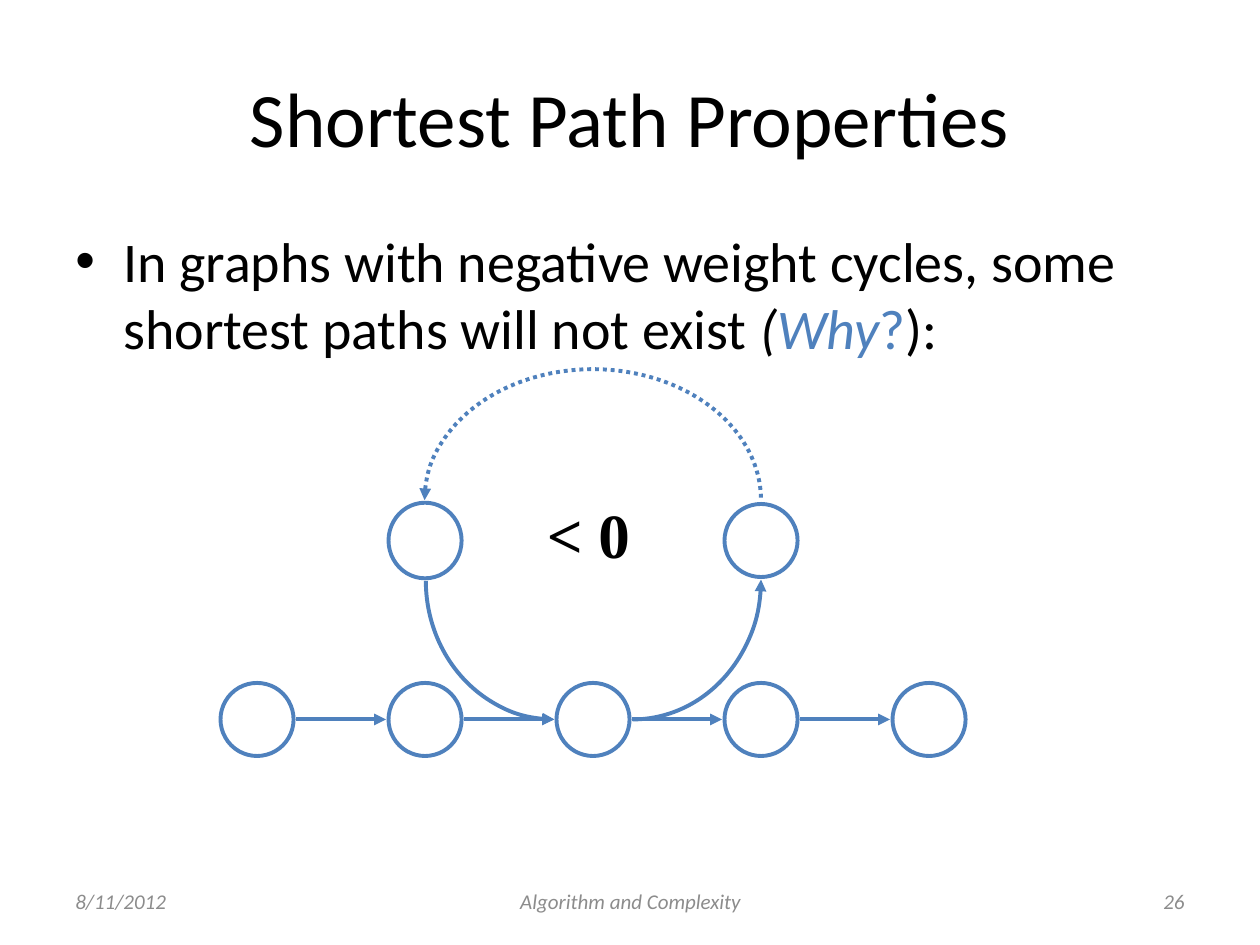
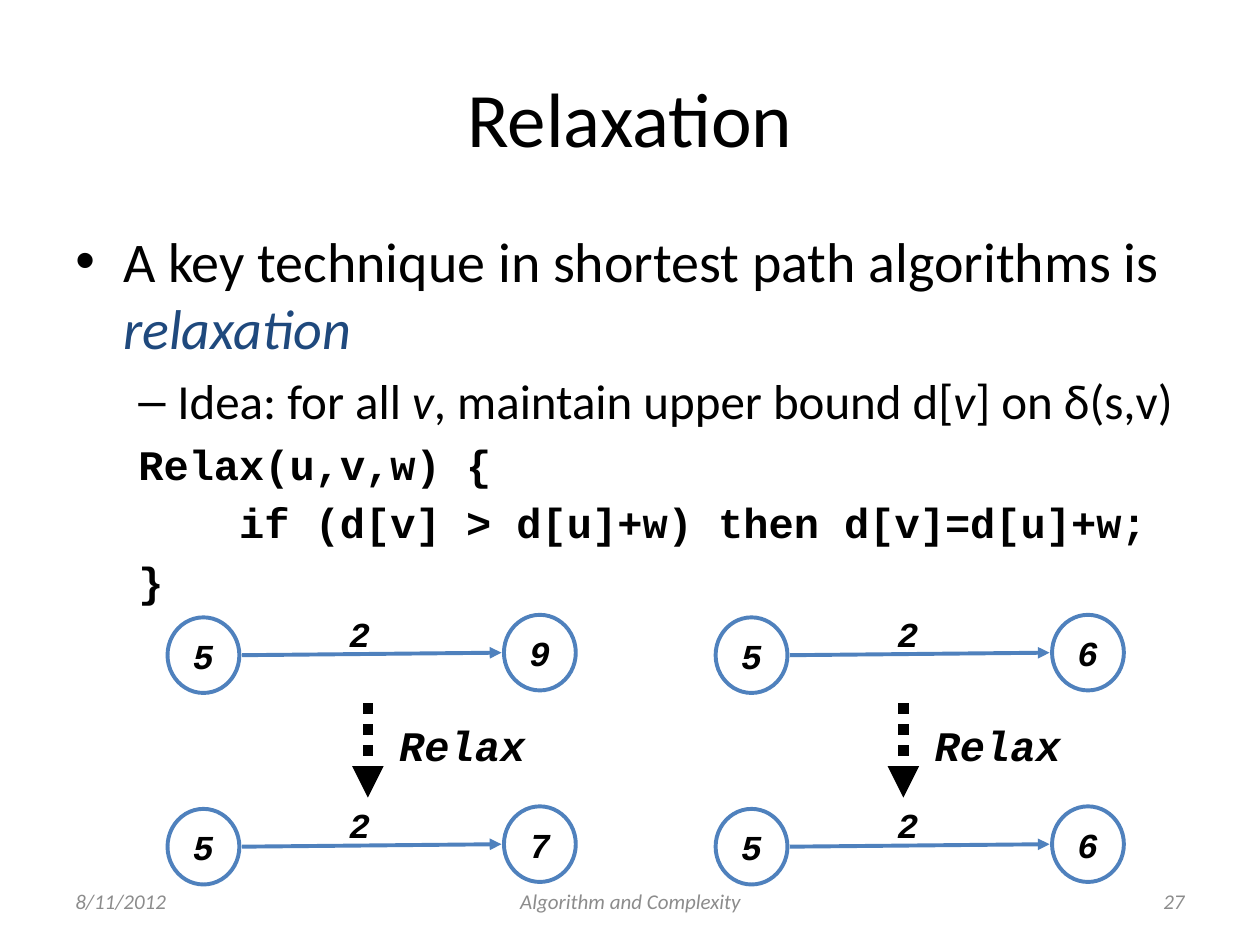
from dataclasses import dataclass
from typing import Any, Optional

from lxml import etree
from pptx import Presentation
from pptx.dml.color import RGBColor
from pptx.enum import dml, shapes, text
from pptx.oxml import ns
from pptx.util import Inches, Pt

BLACK = RGBColor(0x00, 0x00, 0x00)
WHITE = RGBColor(0xFF, 0xFF, 0xFF)
BLUE = RGBColor(0x4F, 0x81, 0xBD)
NAVY = RGBColor(0x1F, 0x49, 0x7D)
GRAY = RGBColor(0x8C, 0x8C, 0x8C)

BODY_FONT = "Calibri"
CODE_FONT = "Courier New"
MATH_FONT = "Times New Roman"
LEFT, CENTER, RIGHT = text.PP_ALIGN.LEFT, text.PP_ALIGN.CENTER, text.PP_ALIGN.RIGHT
LINE_WIDTH = 2.25


@dataclass
class Style:
    size: float
    name: str = BODY_FONT
    color: RGBColor = BLACK
    bold: bool = False
    italic: bool = False


@dataclass
class Piece:
    """A stretch of body text with its own emphasis."""
    words: str
    italic: bool = False
    color: RGBColor = BLACK


@dataclass
class BodyLine:
    pieces: list[Piece]
    size: float
    margin: float
    hanging: float = 0
    bullet: str = ""
    name: str = BODY_FONT
    bold: bool = False


@dataclass
class Box:
    left: float
    top: float
    width: float
    height: float

    def lengths(self) -> list[int]:
        return [Inches(n) for n in (self.left, self.top, self.width, self.height)]


@dataclass
class Arc:
    """A clockwise arc with its arrowhead at the start; angles in degrees."""
    box: Box
    start: int
    end: int
    dotted: bool = False


@dataclass
class RelaxExample:
    left: float
    arrow_x: float
    before: str
    after: str


WEIGHT_STYLE = Style(20, CODE_FONT, bold=True, italic=True)
RELAX_STYLE = Style(24, CODE_FONT, bold=True, italic=True)


# Text
def format_run(run: Any, style: Style) -> None:
    run.font.size = Pt(style.size)
    run.font.name = style.name
    run.font.color.rgb = style.color
    run.font.bold = style.bold
    run.font.italic = style.italic


def write(shape: Any, words: str, style: Style, align: Any = LEFT) -> None:
    shape.text_frame.text = words
    paragraph = shape.text_frame.paragraphs[0]
    paragraph.alignment = align
    format_run(paragraph.runs[0], style)


def add_label(parent: Any, box: Box, words: str, style: Style,
              align: Any = LEFT, anchor: Any = text.MSO_ANCHOR.TOP) -> None:
    label = parent.add_textbox(*box.lengths())
    label.text_frame.word_wrap = False
    label.text_frame.vertical_anchor = anchor
    write(label, words, style, align)


def add_body(slide: Any, lines: list[BodyLine]) -> None:
    frame = slide.shapes.add_textbox(*Box(0.5, 1.75, 9, 4.95).lengths()).text_frame
    frame.word_wrap = True
    for index, line in enumerate(lines):
        paragraph = frame.add_paragraph() if index else frame.paragraphs[0]
        paragraph.space_before = Pt(line.size * 0.2)
        properties = paragraph._p.get_or_add_pPr()
        properties.set("marL", str(Inches(line.margin)))
        properties.set("indent", str(-Inches(line.hanging)))
        if line.bullet:
            font = etree.SubElement(properties, ns.qn("a:buFont"))
            font.set("typeface", "Arial")
            bullet = etree.SubElement(properties, ns.qn("a:buChar"))
            bullet.set("char", line.bullet)
        for piece in line.pieces:
            run = paragraph.add_run()
            run.text = piece.words
            format_run(run, Style(line.size, line.name, piece.color,
                                  line.bold, piece.italic))


# Slide frame
def add_slide(presentation: Any, title: str, number: int) -> Any:
    slide = presentation.slides.add_slide(presentation.slide_layouts[5])
    heading = slide.shapes.title
    heading.left, heading.top, heading.width, heading.height = Box(
        0.5, 0.3, 9, 1.25).lengths()
    heading.text_frame.vertical_anchor = text.MSO_ANCHOR.MIDDLE
    write(heading, title, Style(44), CENTER)
    footers = [(0.5, 2.33, "8/11/2012", LEFT),
               (3.42, 3.17, "Algorithm and Complexity", CENTER),
               (7.17, 2.33, str(number), RIGHT)]
    for left, width, words, align in footers:
        add_label(slide.shapes, Box(left, 6.95, width, 0.4), words,
                  Style(12, color=GRAY, italic=True), align, text.MSO_ANCHOR.MIDDLE)
    return slide


# Graph parts
def add_node(parent: Any, box: Box, value: Optional[str] = None) -> None:
    node = parent.add_shape(shapes.MSO_SHAPE.OVAL, *box.lengths())
    node.shadow.inherit = False
    node.fill.solid()
    node.fill.fore_color.rgb = WHITE
    node.line.color.rgb = BLUE
    node.line.width = Pt(LINE_WIDTH)
    if value:
        node.text_frame.word_wrap = False
        node.text_frame.vertical_anchor = text.MSO_ANCHOR.MIDDLE
        write(node, value, WEIGHT_STYLE, CENTER)


def format_arrow(shape: Any, end: str, color: RGBColor = BLUE,
                 width: float = LINE_WIDTH, dotted: bool = False) -> None:
    shape.line.color.rgb = color
    shape.line.width = Pt(width)
    if dotted:
        shape.line.dash_style = dml.MSO_LINE.ROUND_DOT
    properties = shape._element.spPr
    arrowhead = etree.SubElement(properties.find(ns.qn("a:ln")), ns.qn(f"a:{end}"))
    arrowhead.set("type", "triangle")
    if properties.find(ns.qn("a:effectLst")) is None:
        etree.SubElement(properties, ns.qn("a:effectLst"))


def add_arrow(parent: Any, start: tuple[float, float], end: tuple[float, float],
              color: RGBColor = BLUE, width: float = LINE_WIDTH,
              dotted: bool = False) -> None:
    points = [Inches(n) for n in (*start, *end)]
    arrow = parent.add_connector(shapes.MSO_CONNECTOR.STRAIGHT, *points)
    format_arrow(arrow, "tailEnd", color, width, dotted)


def add_arc(parent: Any, arc: Arc) -> None:
    shape = parent.add_shape(shapes.MSO_SHAPE.ARC, *arc.box.lengths())
    # Angles are stored as 60000ths of a degree, adjustments as 100000ths
    shape.adjustments[0] = arc.start * 0.6
    shape.adjustments[1] = arc.end * 0.6
    shape.fill.background()
    format_arrow(shape, "headEnd", dotted=arc.dotted)


# Slide 1: a negative weight cycle
def build_properties(presentation: Any) -> None:
    slide = add_slide(presentation, "Shortest Path Properties", 26)
    add_body(slide, [BodyLine([
        Piece("In graphs with negative weight cycles, some shortest paths will not exist "),
        Piece("(", True), Piece("Why", True, BLUE), Piece("?", False, BLUE),
        Piece("):")], 32, 0.38, 0.38, "•")])

    first_left, step, size, middle = 1.75, 4 / 3, 0.58, 5.71
    lefts = [first_left + step * index for index in range(5)]
    for left in lefts:
        add_node(slide.shapes, Box(left, 5.42, size, size))
    for left in lefts[:-1]:
        add_arrow(slide.shapes, (left + 0.6, middle), (left + step - 0.02, middle))
    add_node(slide.shapes, Box(lefts[1], 3.99, size, 0.6))
    add_node(slide.shapes, Box(lefts[3], 4, size, size))

    for arc in (Arc(Box(4, 3.49, 2.04, 2.22), 0, 90),
                Arc(Box(3.38, 3.51, 2.04, 2.2), 90, 180),
                Arc(Box(3.37, 2.93, 2.67, 2.08), 180, 0, dotted=True)):
        add_arc(slide.shapes, arc)
    add_label(slide.shapes, Box(4.24, 3.88, 0.86, 0.7), "< 0",
              Style(36, MATH_FONT, bold=True), CENTER)


# Slide 2: relaxing an edge
def add_edge(parent: Any, left: float, top: float, target: str) -> None:
    add_node(parent, Box(left + 2.67, top, 0.57, 0.6), target)
    add_node(parent, Box(left, top + 0.02, 0.57, 0.6), "5")
    add_arrow(parent, (left + 0.59, top + 0.32), (left + 2.65, top + 0.3))
    add_label(parent, Box(left + 1.34, top - 0.07, 0.37, 0.43), "2",
              WEIGHT_STYLE, CENTER)


def build_relaxation(presentation: Any) -> None:
    slide = add_slide(presentation, "Relaxation", 27)
    lines = [
        BodyLine([Piece("A key technique in shortest path algorithms is "),
                  Piece("relaxation", True, NAVY)], 32, 0.38, 0.38, "•"),
        BodyLine([Piece("Idea: for all "), Piece("v", True),
                  Piece(", maintain upper bound d["), Piece("v", True),
                  Piece("] on δ(s,v)")], 28, 0.81, 0.31, "–"),
    ]
    for code, margin in (("Relax(u,v,w) {", 0.5),
                         ("if (d[v] > d[u]+w) then d[v]=d[u]+w;", 1.3),
                         ("}", 0.5)):
        lines.append(BodyLine([Piece(code)], 24, margin, name=CODE_FONT, bold=True))
    add_body(slide, lines)

    for example in (RelaxExample(1.33, 2.92, "9", "7"),
                    RelaxExample(5.68, 7.17, "6", "6")):
        group = slide.shapes.add_group_shape().shapes
        add_edge(group, example.left, 4.88, example.before)
        add_edge(group, example.left, 6.4, example.after)
        add_arrow(group, (example.arrow_x, 5.58), (example.arrow_x, 6.33),
                  BLACK, 6, dotted=True)
        add_label(group, Box(example.arrow_x + 0.15, 5.66, 1.2, 0.5),
                  "Relax", RELAX_STYLE)


def main() -> None:
    presentation = Presentation()
    presentation.slide_width = Inches(10)
    presentation.slide_height = Inches(7.5)
    build_properties(presentation)
    build_relaxation(presentation)
    presentation.save("out.pptx")


if __name__ == "__main__":
    main()
